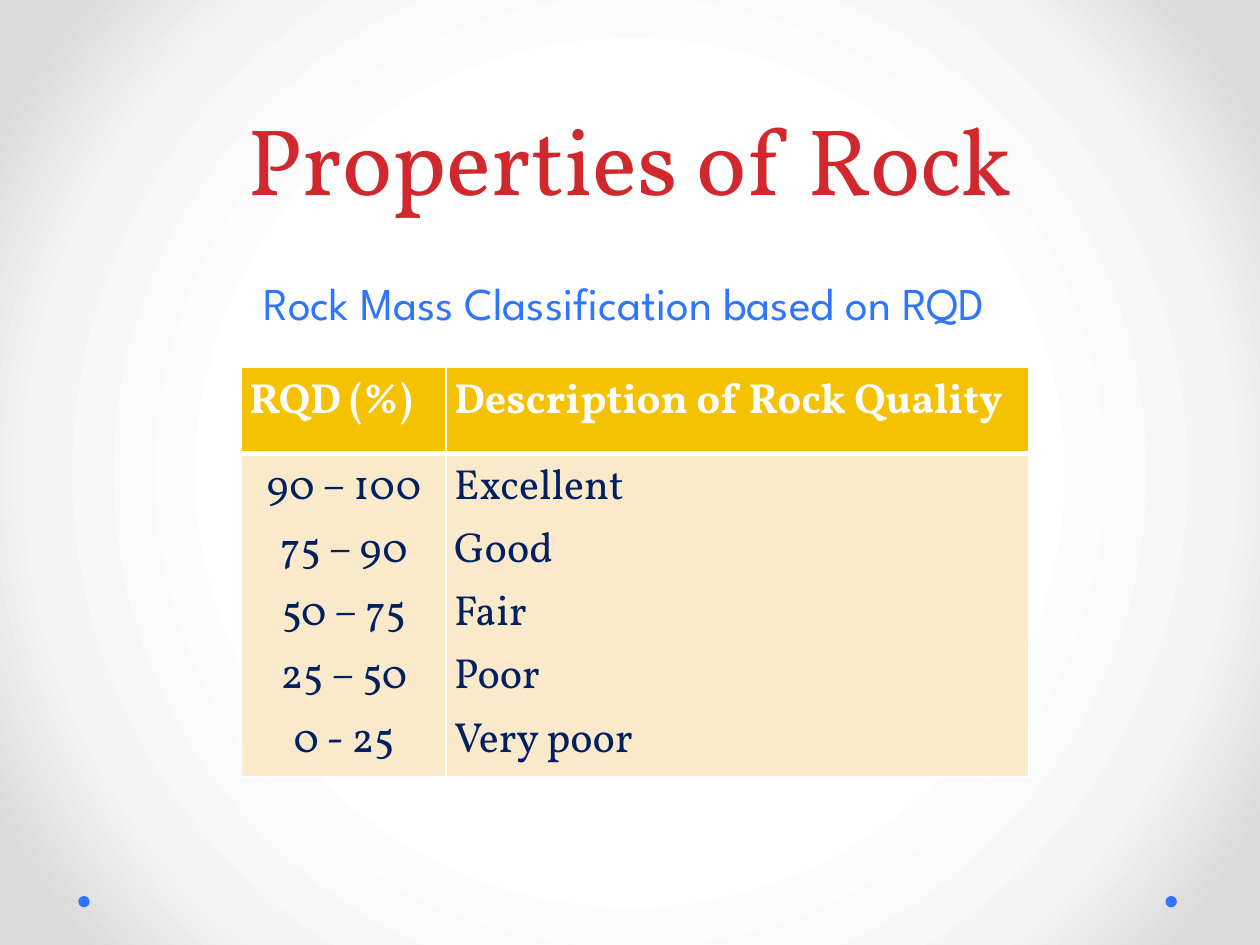
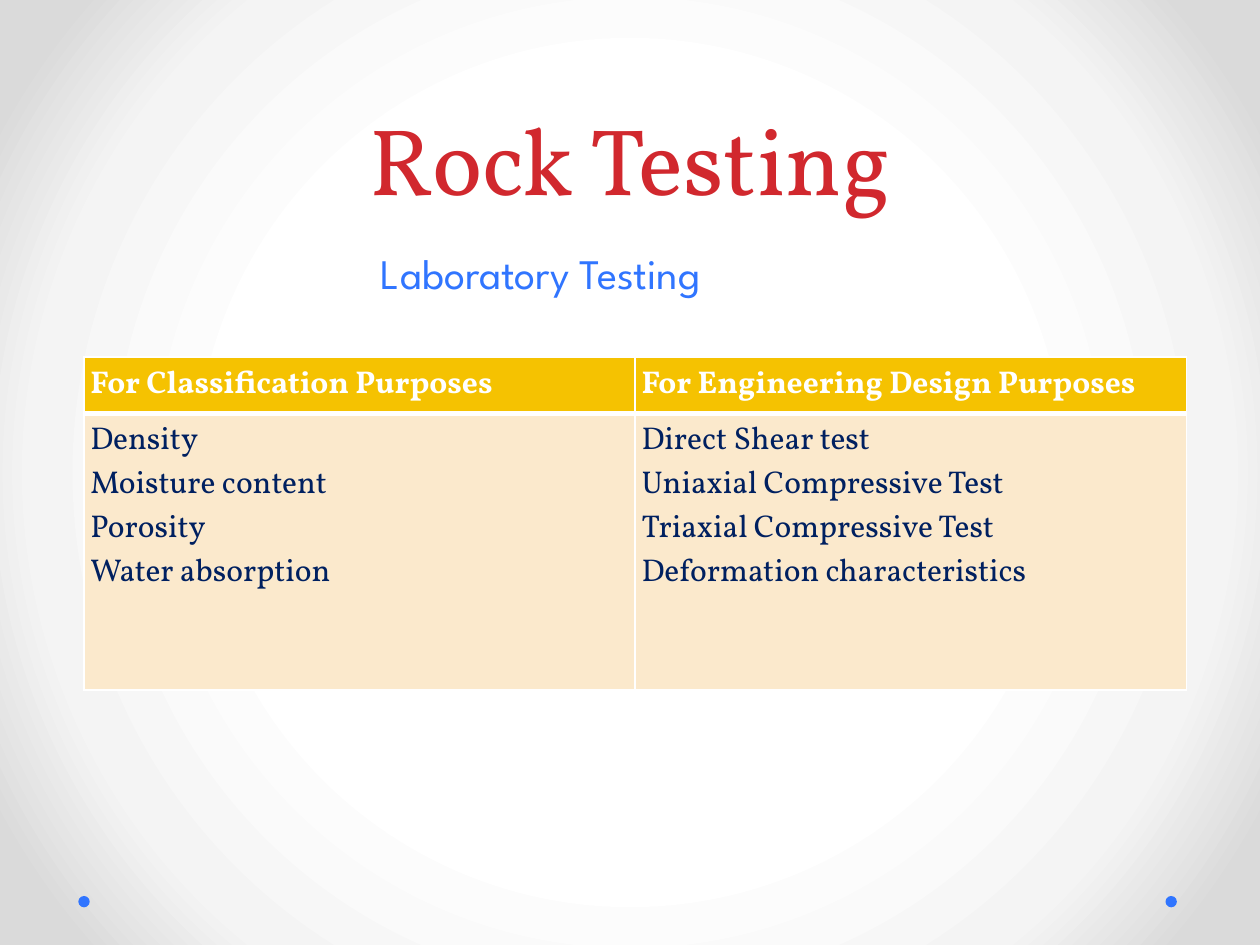
from dataclasses import dataclass

from pptx import Presentation
from pptx.dml.color import RGBColor
from pptx.enum.shapes import MSO_SHAPE as Shape
from pptx.enum.text import MSO_ANCHOR as Anchor, MSO_AUTO_SIZE as AutoSize, PP_ALIGN as Align
from pptx.oxml import parse_xml
from pptx.oxml.ns import nsdecls
from pptx.util import Pt


@dataclass(frozen=True)
class Theme:
    serif: str = "Vollkorn"
    sans: str = "League Spartan"
    red: str = "D1282E"
    blue: str = "3075FF"
    navy: str = "002060"
    gold: str = "F5C201"
    cream: str = "FBE9CC"
    white: str = "FFFFFF"
    glow: tuple = ((50, "FFFFFF"), (76, "F4F4F4"), (92, "DADADA"))
    title_size: int = 54
    title_leading: int = 58
    thin: int = 1
    thick: int = 3


theme = Theme()

topics = [
    {
        "title": "Properties of Rock",
        "subtitle": "Rock Mass Classification based on RQD",
        "subtitle_size": 26,
        "subtitle_box": (84, 144, 546, 48),
        "origin": (138, 210),
        "widths": (117, 333),
        "heights": (49, 185),
        "text_size": 24,
        "gap": 2.75,
        "side_inset": 4.5,
        "columns": [
            ("RQD (%)", Align.CENTER,
             ["90 – 100", "75 – 90", "50 – 75", "25 – 50", "0 - 25"]),
            ("Description of Rock Quality", Align.LEFT,
             ["Excellent", "Good", "Fair", "Poor", "Very poor"]),
        ],
    },
    {
        "title": "Rock Testing",
        "subtitle": "Laboratory Testing",
        "subtitle_size": 24,
        "subtitle_box": (150, 126, 318, 48),
        "origin": (48, 204),
        "widths": (315, 315),
        "heights": (32, 158),
        "text_size": 18,
        "gap": 0,
        "side_inset": 3.6,
        "columns": [
            ("For Classification Purposes", Align.LEFT,
             ["Density", "Moisture content", "Porosity", "Water absorption"]),
            ("For Engineering Design Purposes", Align.LEFT,
             ["Direct Shear test", "Uniaxial Compressive Test",
              "Triaxial Compressive Test", "Deformation characteristics"]),
        ],
    },
]


def add_run(paragraph, text, face, size, color, bold=False):
    run = paragraph.add_run()
    run.text = text
    run.font.name = face
    run.font.size = Pt(size)
    run.font.bold = bold
    run.font.color.rgb = RGBColor.from_string(color)


def place_heading(holder, box, text, face, size, color):
    holder.left, holder.top, holder.width, holder.height = map(Pt, box)
    frame = holder.text_frame
    frame.auto_size = AutoSize.NONE
    frame.word_wrap = True
    frame.vertical_anchor = Anchor.BOTTOM
    heading = frame.paragraphs[0]
    heading.alignment = Align.CENTER
    heading.space_before = Pt(0)
    add_run(heading, text, face, size, color)
    return heading


deck = Presentation()
deck.slide_width, deck.slide_height = Pt(720), Pt(540)

stops = "".join(
    f'<a:gs pos="{position * 1000}"><a:srgbClr val="{color}"/></a:gs>'
    for position, color in theme.glow
)
master = deck.slide_master
master.background.fill.solid()
backdrop = master.element.xpath("p:cSld/p:bg/p:bgPr")[0]
backdrop.remove(backdrop[0])
backdrop.insert(0, parse_xml(
    f'<a:gradFill {nsdecls("a")} rotWithShape="1"><a:gsLst>{stops}</a:gsLst>'
    '<a:path path="circle">'
    '<a:fillToRect l="50000" t="50000" r="50000" b="50000"/>'
    '</a:path></a:gradFill>'
))

for topic in topics:
    slide = deck.slides.add_slide(deck.slide_layouts[1])

    for dot_left in (666, 44.75):
        dot = slide.shapes.add_shape(Shape.OVAL, Pt(dot_left), Pt(512), Pt(6.5), Pt(6.5))
        dot.shadow.inherit = False
        dot.fill.solid()
        dot.fill.fore_color.rgb = RGBColor.from_string(theme.blue)
        dot.line.fill.background()

    title = place_heading(slide.shapes.title, (36, 0, 648, 126), topic["title"],
                          theme.serif, theme.title_size, theme.red)
    title.line_spacing = Pt(theme.title_leading)

    subtitle = place_heading(slide.placeholders[1], topic["subtitle_box"], topic["subtitle"],
                             theme.sans, topic["subtitle_size"], theme.blue)
    plain = subtitle._p.get_or_add_pPr()
    plain.set("marL", "0")
    plain.set("indent", "0")
    plain.append(parse_xml(f'<a:buNone {nsdecls("a")}/>'))

    left, top = topic["origin"]
    widths, heights = topic["widths"], topic["heights"]
    grid = slide.shapes.add_table(2, 2, Pt(left), Pt(top),
                                  Pt(sum(widths)), Pt(sum(heights))).table
    grid.horz_banding = False
    for row, height in zip(grid.rows, heights):
        row.height = Pt(height)

    for column, (header, alignment, entries) in enumerate(topic["columns"]):
        grid.columns[column].width = Pt(widths[column])
        parts = [
            ([header], Align.LEFT, theme.white, theme.gold, True),
            (entries, alignment, theme.navy, theme.cream, False),
        ]
        for row, (lines, align, ink, fill, bold) in enumerate(parts):
            cell = grid.cell(row, column)
            cell.margin_left = cell.margin_right = Pt(topic["side_inset"])
            cell.margin_top = cell.margin_bottom = Pt(3.6)
            divider = "B" if row == 0 else "T"
            for side in "LRTB":
                weight = theme.thick if side == divider else theme.thin
                cell._tc.get_or_add_tcPr().append(parse_xml(
                    f'<a:ln{side} {nsdecls("a")} w="{Pt(weight)}"><a:solidFill>'
                    f'<a:srgbClr val="{theme.white}"/></a:solidFill></a:ln{side}>'
                ))
            cell.fill.solid()
            cell.fill.fore_color.rgb = RGBColor.from_string(fill)

            for index, line in enumerate(lines):
                frame = cell.text_frame
                entry = frame.add_paragraph() if index else frame.paragraphs[0]
                entry.alignment = align
                entry.space_before = Pt(topic["gap"] if index else 0)
                add_run(entry, line, theme.serif, topic["text_size"], ink, bold)

deck.save("out.pptx")
